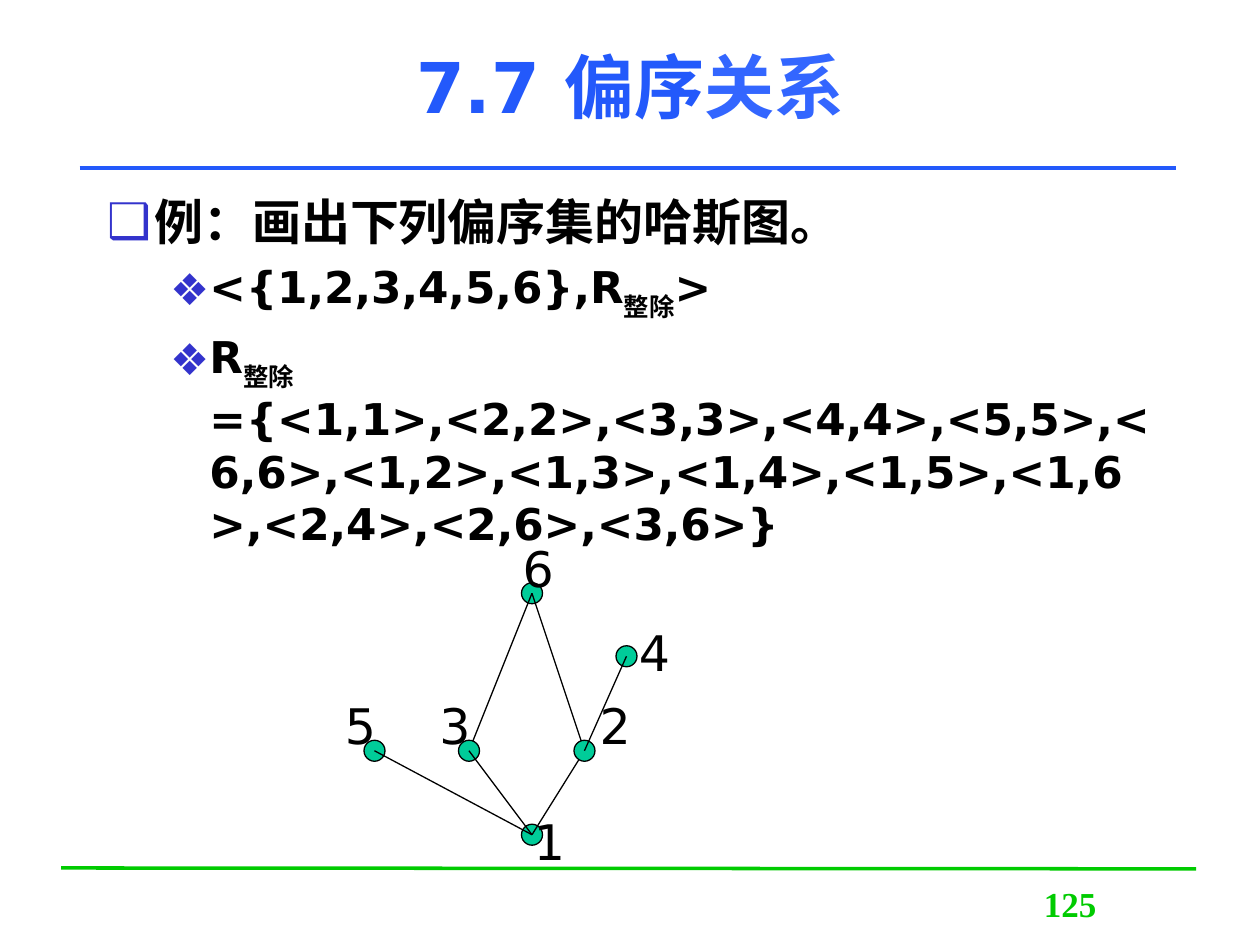
from dataclasses import dataclass

from lxml import etree
from pptx import Presentation
from pptx.dml.color import RGBColor
from pptx.enum.shapes import MSO_CONNECTOR, MSO_SHAPE
from pptx.enum.text import MSO_ANCHOR, MSO_AUTO_SIZE, PP_ALIGN
from pptx.oxml.ns import qn
from pptx.util import Pt

LINE = MSO_CONNECTOR.STRAIGHT
DOT = MSO_SHAPE.OVAL
MIDDLE, TOP = MSO_ANCHOR.MIDDLE, MSO_ANCHOR.TOP
FIXED, GROW = MSO_AUTO_SIZE.NONE, MSO_AUTO_SIZE.SHAPE_TO_FIT_TEXT
LEFT, CENTER = PP_ALIGN.LEFT, PP_ALIGN.CENTER


@dataclass(frozen=True)
class Theme:
    sans: str = "DejaVu Sans"
    serif: str = "Times New Roman"
    blue: str = "2359FB"
    sky: str = "3366FF"
    green: str = "00CB00"
    mint: str = "00CC99"
    violet: str = "3333CC"
    black: str = "000000"
    head: float = 40
    lead: float = 28
    item: float = 25
    page: float = 20
    rule: float = 2
    edge: float = 0.75


THEME = Theme()
SUB = -30000
SIZE = 12
NODES = {
    "6": (304, 339), "5": (214, 429), "4": (358, 375),
    "1": (304, 477), "2": (334, 429), "3": (268, 429),
}
TAGS = {
    "1": (298, 460), "2": (335.5, 394), "5": (190, 394),
    "3": (244, 394), "4": (358, 352), "6": (291.5, 304),
}
LAYERS = [
    ("6541", ["63", "62", "21"]),
    ("23", ["42", "31", "51"]),
]
PAIRS = ("={<1,1>,<2,2>,<3,3>,<4,4>,<5,5>,<6,6>,<1,2>,<1,3>,"
         "<1,4>,<1,5>,<1,6>,<2,4>,<2,6>,<3,6>}")
ITEMS = [
    (0, "❑", THEME.lead, 27, 27, [("例：画出下列偏序集的哈斯图。", 0)]),
    (1, "❖", THEME.item, 58.5, 22.5,
     [("<{1,2,3,4,5,6},R", 0), ("整除", SUB), (">", 0)]),
    (1, "❖", THEME.item, 58.5, 22.5,
     [("R", 0), ("整除", SUB), (PAIRS, 0)]),
]


def paint(hue):
    return RGBColor.from_string(hue)


def place(shape, left, top, width, height):
    shape.left, shape.top = Pt(left), Pt(top)
    shape.width, shape.height = Pt(width), Pt(height)


def add_run(para, text, size, hue, face=THEME.sans, bold=True, base=0):
    run = para.add_run()
    run.text = text
    font = run.font
    font.name, font.size, font.bold = face, Pt(size), bold
    font.color.rgb = paint(hue)
    if base:
        run._r.get_or_add_rPr().set("baseline", str(base))


def add_mark(para, mark, margin, hang):
    props = para._p.get_or_add_pPr()
    props.set("marL", str(Pt(margin)))
    props.set("indent", str(-Pt(hang)))
    tint = etree.SubElement(props, qn("a:buClr"))
    etree.SubElement(tint, qn("a:srgbClr")).set("val", THEME.violet)
    etree.SubElement(props, qn("a:buFont")).set("typeface", THEME.sans)
    etree.SubElement(props, qn("a:buChar")).set("char", mark)


def add_line(slide, start, end, hue, width):
    line = slide.shapes.add_connector(LINE, *map(Pt, (*start, *end)))
    line.line.color.rgb = paint(hue)
    line.line.width = Pt(width)
    etree.SubElement(line._element.spPr, qn("a:effectLst"))


def add_dot(slide, x, y):
    dot = slide.shapes.add_shape(
        DOT, Pt(x - SIZE / 2), Pt(y - SIZE / 2), Pt(SIZE), Pt(SIZE))
    dot.shadow.inherit = False
    dot.fill.solid()
    dot.fill.fore_color.rgb = paint(THEME.mint)
    dot.line.color.rgb = paint(THEME.black)
    dot.line.width = Pt(THEME.edge)


def add_text(slide, box, text, size, hue, face, bold, align, wrap):
    frame = slide.shapes.add_textbox(*map(Pt, box)).text_frame
    frame.word_wrap = wrap
    frame.auto_size = FIXED if wrap else GROW
    para = frame.paragraphs[0]
    para.alignment = align
    add_run(para, text, size, hue, face, bold)


def fill_title(slide):
    title = slide.shapes.title
    place(title, 54, 3.6, 612, 90)
    frame = title.text_frame
    frame.auto_size = FIXED
    frame.vertical_anchor = MIDDLE
    para = frame.paragraphs[0]
    para.alignment = CENTER
    add_run(para, "7.7 偏序", THEME.head, THEME.blue)
    add_run(para, "关系", THEME.head, THEME.sky)


def fill_body(slide):
    body = slide.placeholders[1]
    place(body, 54, 106, 612, 385)
    frame = body.text_frame
    frame.auto_size = FIXED
    frame.vertical_anchor = TOP
    for rank, (level, mark, size, margin, hang, parts) in enumerate(ITEMS):
        para = frame.add_paragraph() if rank else frame.paragraphs[0]
        para.level = level
        add_mark(para, mark, margin, hang)
        for text, base in parts:
            add_run(para, text, size, THEME.black, base=base)


def draw_graph(slide):
    for dots, edges in LAYERS:
        for name in dots:
            add_dot(slide, *NODES[name])
        for start, end in edges:
            add_line(slide, NODES[start], NODES[end], THEME.black, THEME.edge)
    for name, spot in TAGS.items():
        add_text(slide, (*spot, 32.5, 41), name, THEME.lead, THEME.black,
                 THEME.sans, False, LEFT, False)


def main():
    deck = Presentation()
    deck.slide_width, deck.slide_height = Pt(720), Pt(540)
    slide = deck.slides.add_slide(deck.slide_layouts[1])
    add_line(slide, (35, 496), (683.5, 496.5), THEME.green, THEME.rule)
    add_line(slide, (45.5, 96), (672, 96), THEME.blue, THEME.rule)
    add_text(slide, (554.5, 500.5, 114, 36), "125", THEME.page, THEME.green,
             THEME.serif, True, CENTER, True)
    fill_title(slide)
    fill_body(slide)
    draw_graph(slide)
    deck.save("out.pptx")


main()
